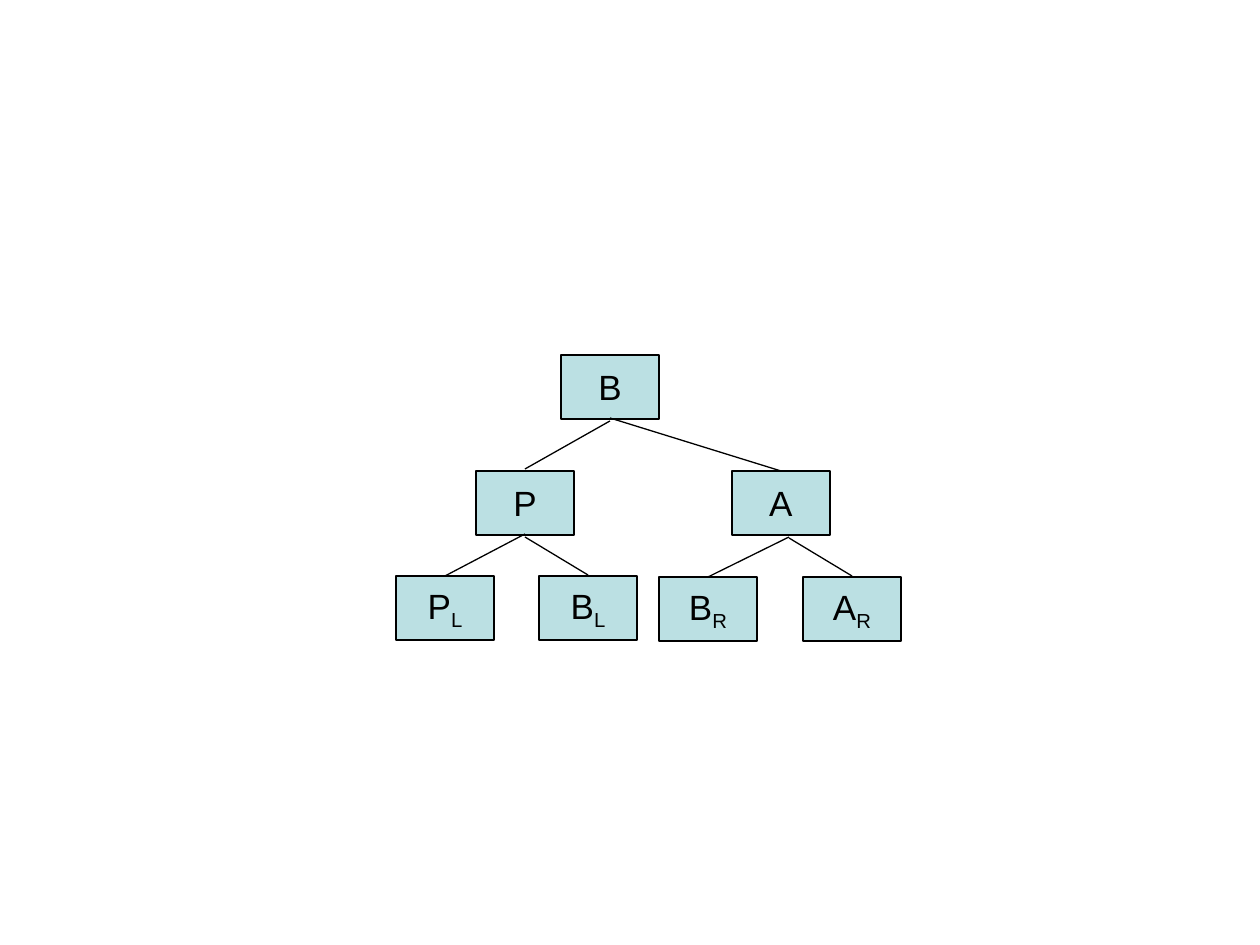
from dataclasses import dataclass

from lxml import etree
from pptx import Presentation
from pptx.dml.color import RGBColor
from pptx.enum.shapes import MSO_CONNECTOR, MSO_SHAPE
from pptx.enum.text import MSO_ANCHOR, PP_ALIGN
from pptx.oxml.ns import qn
from pptx.shapes.shapetree import GroupShapes
from pptx.util import Emu, Pt

RECTANGLE = MSO_SHAPE.RECTANGLE
STRAIGHT = MSO_CONNECTOR.STRAIGHT
MIDDLE = MSO_ANCHOR.MIDDLE
CENTER = PP_ALIGN.CENTER

PIXELS_PER_INCH = 126
SLIDE_WIDTH, SLIDE_HEIGHT = 1260, 945
NODE_WIDTH, NODE_HEIGHT = 98, 64
FONT_NAME = "Arial"
FONT_SIZE = Pt(20)
LINE_WIDTH = Pt(0.75)
SUBSCRIPT = "-25000"
COLORS = {"node": "BBE0E3", "line": "000000", "text": "000000"}


@dataclass(frozen=True)
class Node:
    left: int
    top: int
    label: str
    subscript: str = ""


@dataclass(frozen=True)
class Edge:
    start_x: int
    start_y: int
    end_x: int
    end_y: int


# Tree from the root down to the leaves
NODES = [
    Node(561, 355, "B"),
    Node(476, 471, "P"),
    Node(732, 471, "A"),
    Node(396, 576, "P", "L"),
    Node(539, 576, "B", "L"),
    Node(659, 577, "B", "R"),
    Node(803, 577, "A", "R"),
]
EDGES = [
    Edge(525, 469, 610, 421),
    Edge(610, 418, 781, 471),
    Edge(525, 534, 445, 576),
    Edge(525, 537, 588, 575),
    Edge(789, 537, 708, 577),
    Edge(789, 538, 852, 576),
]


def px(value: int) -> Emu:
    return Emu(round(value * 914400 / PIXELS_PER_INCH))


def color(name: str) -> RGBColor:
    return RGBColor.from_string(COLORS[name])


def draw_node(shapes: GroupShapes, node: Node) -> None:
    shape = shapes.add_shape(
        RECTANGLE, px(node.left), px(node.top), px(NODE_WIDTH), px(NODE_HEIGHT)
    )
    shape.shadow.inherit = False
    shape.fill.solid()
    shape.fill.fore_color.rgb = color("node")
    shape.line.color.rgb = color("line")
    shape.line.width = LINE_WIDTH

    text_frame = shape.text_frame
    text_frame.word_wrap = False
    text_frame.vertical_anchor = MIDDLE
    paragraph = text_frame.paragraphs[0]
    paragraph.alignment = CENTER
    for text, baseline in ((node.label, None), (node.subscript, SUBSCRIPT)):
        if not text:
            continue
        run = paragraph.add_run()
        run.text = text
        run.font.name = FONT_NAME
        run.font.size = FONT_SIZE
        run.font.color.rgb = color("text")
        if baseline:
            run._r.get_or_add_rPr().set("baseline", baseline)


def draw_edge(shapes: GroupShapes, edge: Edge) -> None:
    connector = shapes.add_connector(
        STRAIGHT, px(edge.start_x), px(edge.start_y), px(edge.end_x), px(edge.end_y)
    )
    connector.line.color.rgb = color("line")
    connector.line.width = LINE_WIDTH
    etree.SubElement(connector._element.spPr, qn("a:effectLst"))


def main() -> None:
    presentation = Presentation()
    presentation.slide_width = px(SLIDE_WIDTH)
    presentation.slide_height = px(SLIDE_HEIGHT)
    slide = presentation.slides.add_slide(presentation.slide_layouts[6])

    # The tree is one group
    tree = slide.shapes.add_group_shape()
    for node in NODES:
        draw_node(tree.shapes, node)
    for edge in EDGES:
        draw_edge(tree.shapes, edge)

    presentation.save("out.pptx")


if __name__ == "__main__":
    main()
